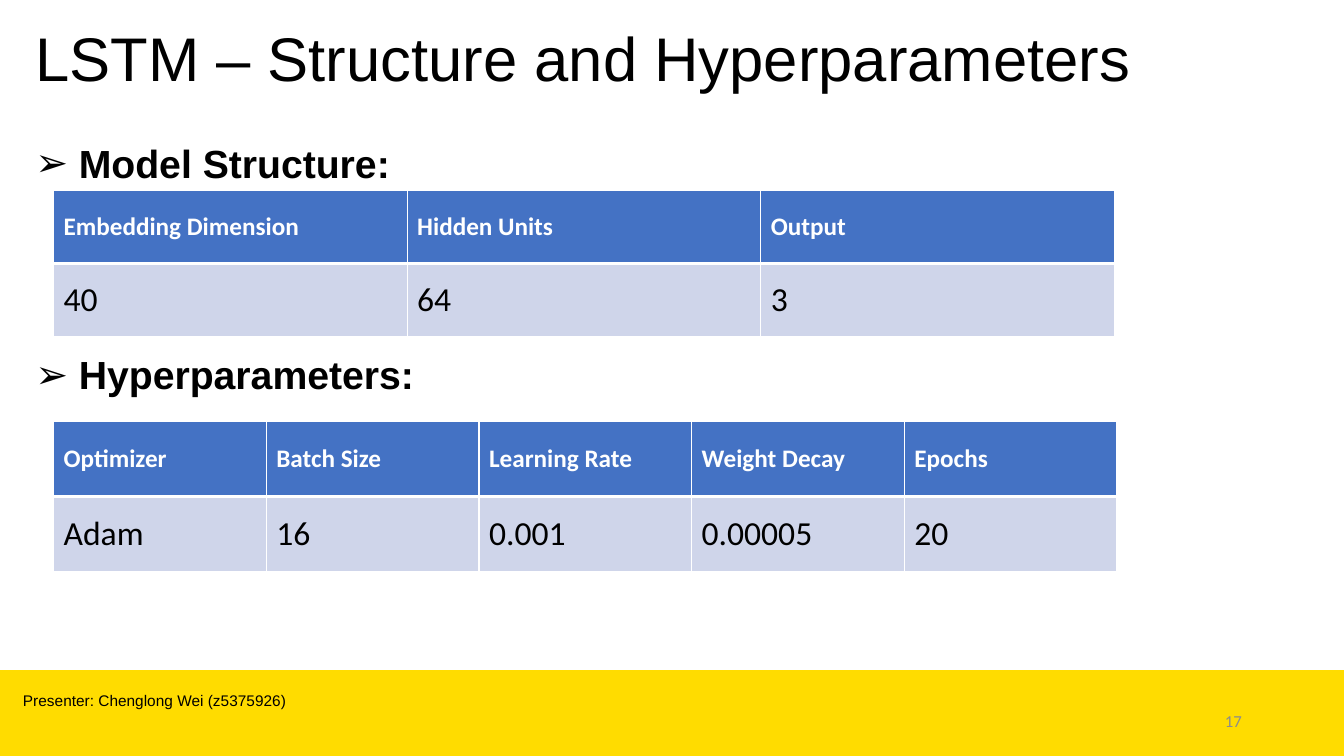
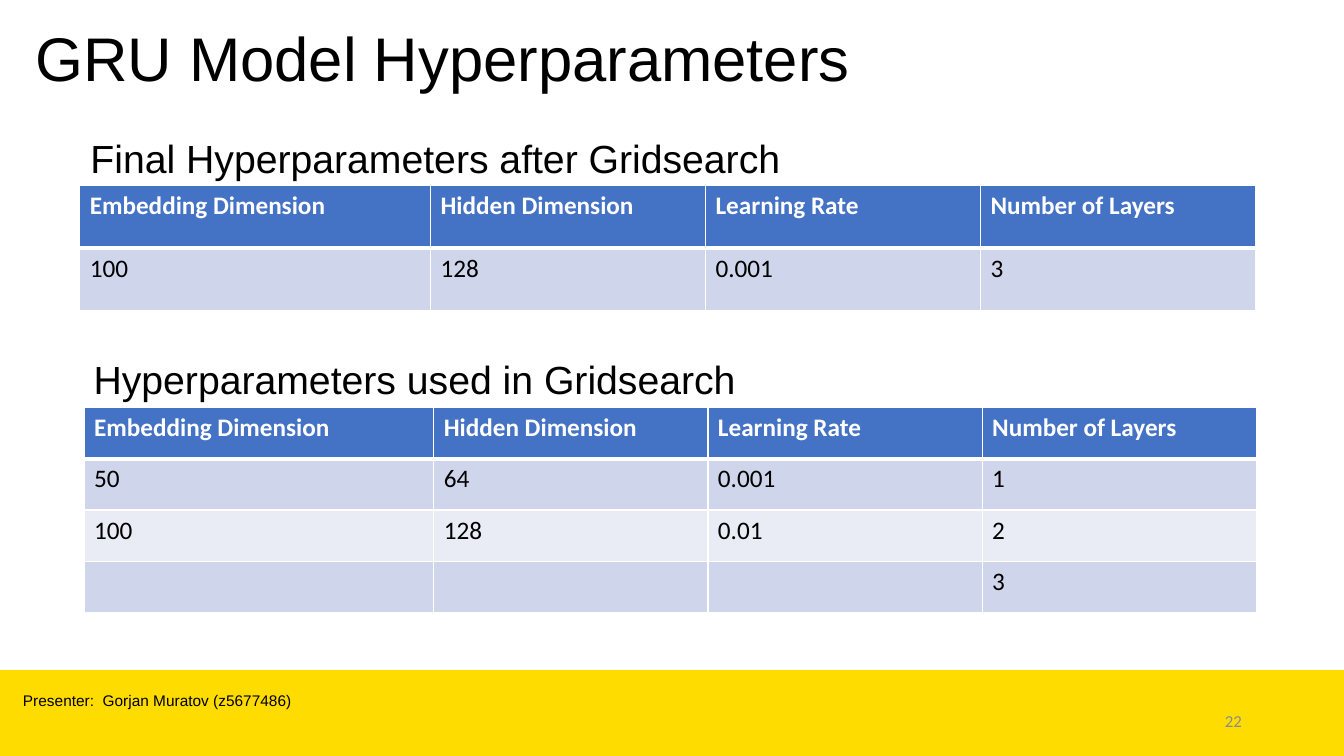
import pptx
import pptx.dml.color
import pptx.enum.shapes
import pptx.enum.text
import pptx.oxml
import pptx.oxml.ns
import pptx.util
from dataclasses import dataclass

Cm, Pt = pptx.util.Cm, pptx.util.Pt
ALIGN, ANCHOR = pptx.enum.text.PP_ALIGN, pptx.enum.text.MSO_ANCHOR


# Theme
@dataclass(frozen=True)
class Theme:
    heading_font: str = "Arial"
    table_font: str = "Calibri"
    black: str = "000000"
    white: str = "FFFFFF"
    grey: str = "8C8C8C"
    yellow: str = "FFDC00"
    header: str = "4472C4"
    stripes: tuple = ("CFD5EA", "E9EBF5")
    title_size: int = 44
    section_size: int = 28
    large_size: int = 24
    table_size: int = 18
    number_size: int = 12
    footer_size: int = 11
    thin: int = 1
    thick: int = 3


THEME = Theme()
WIDTH, HEIGHT, BAND_HEIGHT = 33.87, 19.05, 2.16

# Content: boxes are left, top, width, height in centimetres
GRID_HEADER = ["Embedding Dimension", "Hidden Dimension",
               "Learning Rate", "Number of Layers"]
SLIDES = [
    {
        "title": "LSTM – Structure and Hyperparameters",
        "presenter": "Presenter: Chenglong Wei (z5375926)",
        "number": "17",
        "bulleted": True,
        "body_size": THEME.large_size,
        "anchor": ANCHOR.MIDDLE,
        "sections": [
            {"heading": " Model Structure:", "box": (0.64, 3.51, 29.95, 1.5),
             "table_at": (1.35, 4.8), "columns": [8.91] * 3, "row_height": 1.84,
             "rows": [["Embedding Dimension", "Hidden Units", "Output"],
                      ["40", "64", "3"]]},
            {"heading": " Hyperparameters:", "box": (0.64, 8.84, 29.95, 1.5),
             "table_at": (1.35, 10.62), "columns": [5.36] * 5, "row_height": 1.89,
             "rows": [["Optimizer", "Batch Size", "Learning Rate",
                       "Weight Decay", "Epochs"],
                      ["Adam", "16", "0.001", "0.00005", "20"]]},
        ],
    },
    {
        "title": "GRU Model Hyperparameters",
        "presenter": "Presenter:  Gorjan Muratov (z5677486)",
        "number": "22",
        "bulleted": False,
        "body_size": THEME.table_size,
        "anchor": ANCHOR.TOP,
        "sections": [
            {"heading": "Final Hyperparameters after Gridsearch",
             "box": (2.03, 3.25, 20.8, 1.46),
             "table_at": (2.01, 4.68), "columns": [8.84] + [6.93] * 3,
             "row_height": 1.57,
             "rows": [GRID_HEADER, ["100", "128", "0.001", "3"]]},
            {"heading": "Hyperparameters used in Gridsearch",
             "box": (2.11, 8.82, 19.3, 1.46),
             "table_at": (2.12, 10.27), "columns": [8.81] + [6.91] * 3,
             "row_height": 1.29,
             "rows": [GRID_HEADER, ["50", "64", "0.001", "1"],
                      ["100", "128", "0.01", "2"], ["", "", "", "3"]]},
        ],
    },
]


# Helpers
def rgb(colour):
    return pptx.dml.color.RGBColor.from_string(colour)


def style(para, size, font=THEME.heading_font, colour=THEME.black, bold=False):
    para.font.size = Pt(size)
    para.font.name = font
    para.font.color.rgb = rgb(colour)
    para.font.bold = bold


def add_text(page, text, box, size, anchor=ANCHOR.TOP, **look):
    frame = page.shapes.add_textbox(*map(Cm, box)).text_frame
    frame.word_wrap = True
    frame.vertical_anchor = anchor
    para = frame.paragraphs[0]
    para.text = text
    style(para, size, **look)
    return para


def add_bullet(para):
    para.line_spacing = 0.9
    para.space_before = Pt(10)
    props = para._p.get_or_add_pPr()
    props.set("marL", str(Cm(0.64)))
    props.set("indent", str(-Cm(0.64)))
    for tag, name, value in (("buFont", "typeface", "Wingdings 3"),
                             ("buChar", "char", "➢")):
        if tag == "buFont":
            value = THEME.heading_font
        pptx.oxml.ns.qn("a:" + tag)
        props.append(pptx.oxml.parse_xml(
            f'<a:{tag} {pptx.oxml.ns.nsdecls("a")} {name}="{value}"/>'))


def add_borders(cell, top, bottom):
    props = cell._tc.get_or_add_tcPr()
    widths = {"lnL": THEME.thin, "lnR": THEME.thin, "lnT": top, "lnB": bottom}
    for tag, width in widths.items():
        props.append(pptx.oxml.parse_xml(
            f'<a:{tag} {pptx.oxml.ns.nsdecls("a")} w="{Pt(width)}"><a:solidFill>'
            f'<a:srgbClr val="{THEME.white}"/></a:solidFill></a:{tag}>'))


def add_grid(page, section, body_size, anchor):
    rows, columns = section["rows"], section["columns"]
    size = (sum(columns), section["row_height"] * len(rows))
    table = page.shapes.add_table(len(rows), len(columns),
                                  *map(Cm, section["table_at"] + size)).table
    for column, width in zip(table.columns, columns):
        column.width = Cm(width)
    for r, row in enumerate(rows):
        table.rows[r].height = Cm(section["row_height"])
        is_header = r == 0
        for c, text in enumerate(row):
            cell = table.cell(r, c)
            cell.text = text
            cell.vertical_anchor = anchor
            add_borders(cell, THEME.thick if r == 1 else THEME.thin,
                        THEME.thick if is_header else THEME.thin)
            cell.fill.solid()
            cell.fill.fore_color.rgb = rgb(
                THEME.header if is_header else THEME.stripes[(r - 1) % 2])
            style(cell.text_frame.paragraphs[0],
                  THEME.table_size if is_header else body_size,
                  THEME.table_font,
                  THEME.white if is_header else THEME.black, is_header)


def add_frame(page, content):
    """Band, title, presenter and page number shared by all slides."""
    band = page.shapes.add_shape(
        pptx.enum.shapes.MSO_SHAPE.RECTANGLE, 0, Cm(HEIGHT - BAND_HEIGHT),
        Cm(WIDTH), Cm(BAND_HEIGHT))
    band.shadow.inherit = False
    band.fill.solid()
    band.fill.fore_color.rgb = rgb(THEME.yellow)
    band.line.fill.background()
    title = add_text(page, content["title"], (0.64, 0.38, 32.31, 2.34),
                     THEME.title_size, ANCHOR.MIDDLE)
    title.line_spacing = 0.9
    add_text(page, content["presenter"], (0.33, 17.3, 20.35, 0.74),
             THEME.footer_size)
    number = add_text(page, content["number"], (23.93, 17.65, 7.62, 1.02),
                      THEME.number_size, ANCHOR.MIDDLE,
                      font=THEME.table_font, colour=THEME.grey)
    number.alignment = ALIGN.RIGHT


def main():
    deck = pptx.Presentation()
    deck.slide_width, deck.slide_height = Cm(WIDTH), Cm(HEIGHT)
    for content in SLIDES:
        page = deck.slides.add_slide(deck.slide_layouts[6])
        add_frame(page, content)
        for section in content["sections"]:
            heading = add_text(page, section["heading"], section["box"],
                               THEME.section_size, bold=content["bulleted"])
            if content["bulleted"]:
                add_bullet(heading)
            add_grid(page, section, content["body_size"], content["anchor"])
    deck.save("out.pptx")


if __name__ == "__main__":
    main()
